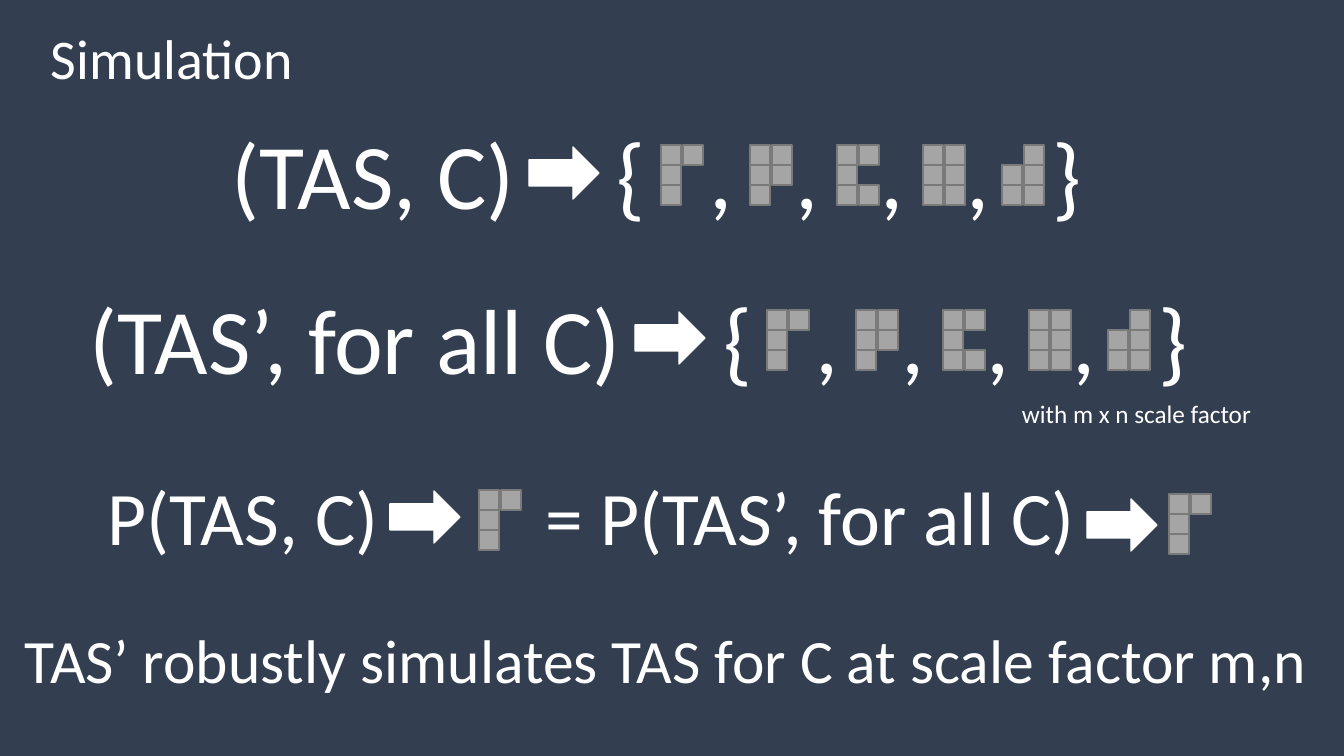
from pptx import Presentation
from pptx import util as u
from pptx.dml.color import RGBColor
from pptx.enum import shapes, text
from pptx.oxml.ns import qn
from lxml import etree

WHITE = RGBColor(0xFF, 0xFF, 0xFF)
NAVY = RGBColor(0x33, 0x3F, 0x50)
TILE_FILL = RGBColor(0xA5, 0xA5, 0xA5)
TILE_LINE = RGBColor(0x7A, 0x7A, 0x7A)

TILE, COLUMN_PITCH, ROW_PITCH = 20, 22, 20
ASSEMBLIES = [
    ("##", "#.", "#."),
    ("##", "##", "#."),
    ("##", "#.", "##"),
    ("##", "##", "##"),
    (".#", "##", "##"),
]
ASSEMBLY_OFFSETS = [44, 133, 220, 306, 385]  # from the opening brace
FIRST_COMMA, COMMA_PITCH = 92, 86


def px(n):
    return u.Emu(round(n * 914400 / 100.8))


def write(sp, content, *, x, y, w, h, size, tabs=()):
    """Place a shape and fill it with one line of text; tabs are px from its left."""
    sp.left, sp.top, sp.width, sp.height = px(x), px(y), px(w), px(h)
    tf = sp.text_frame
    tf.margin_left = tf.margin_right = tf.margin_top = tf.margin_bottom = 0
    tf.auto_size = text.MSO_AUTO_SIZE.NONE
    tf.vertical_anchor = text.MSO_ANCHOR.TOP
    tf.word_wrap = True
    p = tf.paragraphs[0]
    p.text = content
    p.alignment = text.PP_ALIGN.LEFT
    if tabs:
        tab_list = etree.SubElement(p._p.get_or_add_pPr(), qn("a:tabLst"))
        for pos in tabs:
            etree.SubElement(tab_list, qn("a:tab"), pos=str(px(pos)), algn="l")
    font = p.runs[0].font
    font.name, font.size = "Calibri", u.Pt(size)
    font.color.rgb = WHITE


def add_text(s, content, **fmt):
    write(s.shapes.add_textbox(0, 0, 0, 0), content, **fmt)


def add_box(s, kind, x, y, w, h, fill, line):
    sp = s.shapes.add_shape(kind, px(x), px(y), px(w), px(h))
    sp.shadow.inherit = False
    sp.fill.solid()
    sp.fill.fore_color.rgb = fill
    sp.line.color.rgb = line
    sp.line.width = u.Pt(1)


def add_arrow(s, x, y):
    add_box(s, shapes.MSO_SHAPE.RIGHT_ARROW, x, y, 70, 52, WHITE, WHITE)


def add_assembly(s, x, y, pattern):
    for row, cells in enumerate(pattern):
        for col, cell in enumerate(cells):
            if cell == "#":
                add_box(s, shapes.MSO_SHAPE.RECTANGLE,
                        x + col * COLUMN_PITCH, y + row * ROW_PITCH,
                        TILE, TILE, TILE_FILL, TILE_LINE)


def add_production_set(s, system, x, y, brace):
    """System, arrow and the braced set of assemblies; brace is the px of '{'."""
    start = brace - x
    tabs = [start] + [start + FIRST_COMMA + i * COMMA_PITCH for i in range(5)]
    add_text(s, system + "\t{\t,\t,\t,\t,\t}", x=x, y=y,
             w=brace - x + 500, h=112, size=66, tabs=tabs)
    add_arrow(s, brace - 88, y + 30)
    for offset, pattern in zip(ASSEMBLY_OFFSETS, ASSEMBLIES):
        add_assembly(s, brace + offset, y + 28, pattern)


def main():
    prs = Presentation()
    prs.slide_width, prs.slide_height = px(1344), px(756)
    s = prs.slides.add_slide(prs.slide_layouts[5])
    s.background.fill.solid()
    s.background.fill.fore_color.rgb = NAVY

    write(s.shapes.title, "Simulation", x=51, y=23, w=260, h=68, size=40)

    add_production_set(s, "(TAS, C)", 232, 117, 617)
    add_production_set(s, "(TAS’, for all C)", 89, 282, 723)
    add_text(s, "with m x n scale factor", x=1022, y=398, w=250, h=31, size=18)

    add_text(s, "P(TAS, C)\t= P(TAS’, for all C)", x=108, y=470,
             w=1068, h=92, size=54, tabs=[438])
    for arrow_x, arrow_y, tile_x, tile_y in [(390, 491, 479, 490),
                                             (1087, 499, 1169, 494)]:
        add_arrow(s, arrow_x, arrow_y)
        add_assembly(s, tile_x, tile_y, ASSEMBLIES[0])

    add_text(s, "TAS’ robustly simulates TAS for C at scale factor m,n",
             x=25, y=622, w=1310, h=75, size=44)
    prs.save("out.pptx")


if __name__ == "__main__":
    main()
